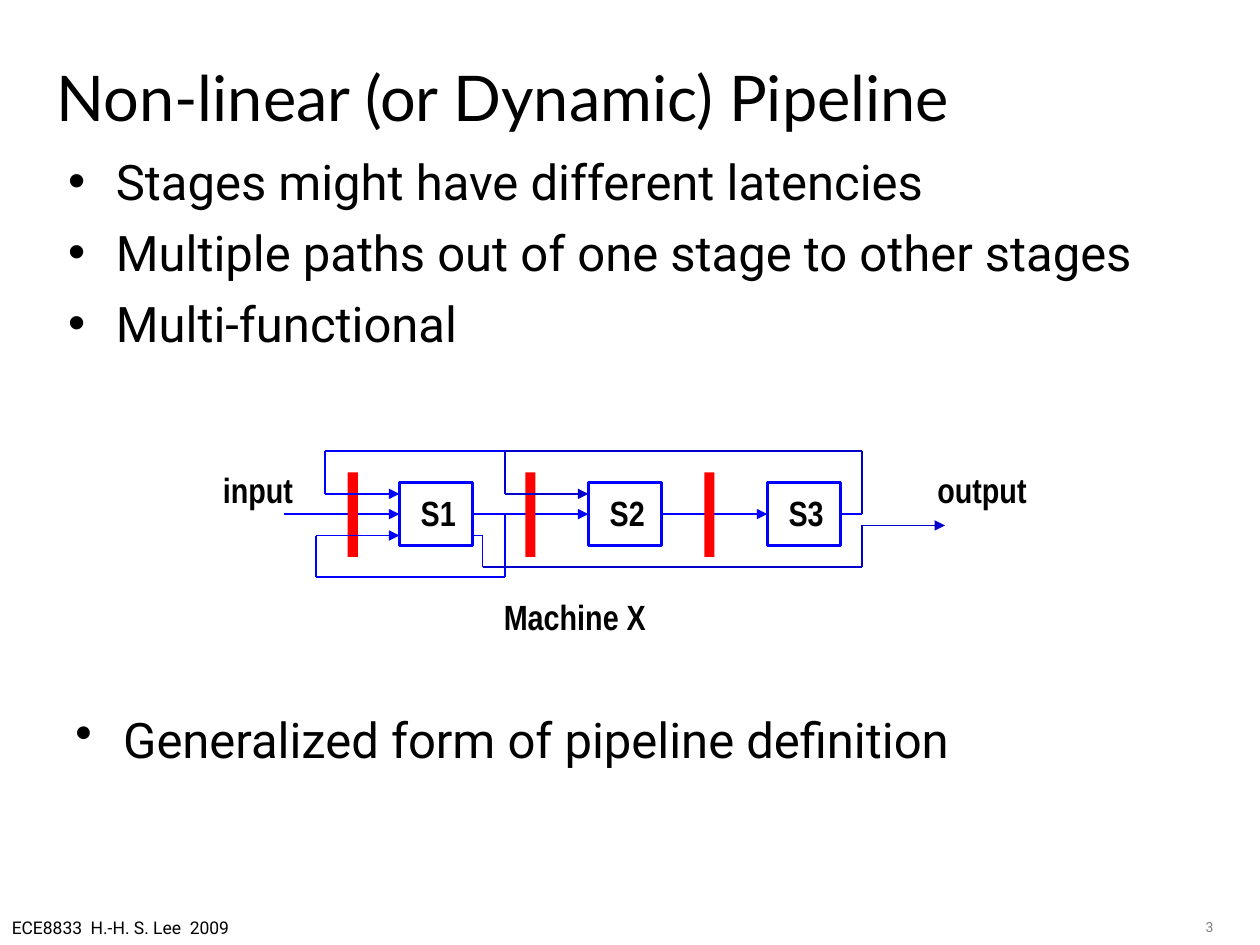
from pptx import Presentation
from pptx.dml.color import RGBColor
from pptx.enum.shapes import MSO_CONNECTOR, MSO_SHAPE
from pptx.enum.text import MSO_ANCHOR, MSO_AUTO_SIZE, PP_ALIGN
from pptx.oxml.ns import qn
from pptx.util import Inches, Pt
from lxml.etree import SubElement

BLUE, NAVY, RED = "0000FF", "0000CC", "FF0000"


def color(code):
    return RGBColor.from_string(code)


def put(shape, box):
    shape.left, shape.top, shape.width, shape.height = map(Inches, box)


def write(shape, *lines, font="Roboto", size=28, ink="000000", bold=False,
          align=PP_ALIGN.LEFT, anchor=MSO_ANCHOR.TOP, wrap=True, bullet=False):
    frame = shape.text_frame
    frame.auto_size = MSO_AUTO_SIZE.NONE
    frame.word_wrap = wrap
    frame.vertical_anchor = anchor
    for i, line in enumerate(lines):
        para = frame.paragraphs[0] if i == 0 else frame.add_paragraph()
        para.alignment = align
        para.space_before = Pt(7 if i else 0)
        if bullet:
            props = para._p.get_or_add_pPr()
            props.set("marL", str(Inches(0.38)))
            props.set("indent", str(-Inches(0.38)))
            SubElement(props, qn("a:buChar")).set("char", "•")
        run = para.add_run()
        run.text = line
        run.font.name, run.font.size, run.font.bold = font, Pt(size), bold
        run.font.color.rgb = color(ink)


def note(shapes, box, *lines, **form):
    write(shapes.add_textbox(*map(Inches, box)), *lines, **form)


def block(shapes, box, fill=None, edge=None):
    rect = shapes.add_shape(MSO_SHAPE.RECTANGLE, *map(Inches, box))
    rect.shadow.inherit = False
    if fill:
        rect.fill.solid()
        rect.fill.fore_color.rgb = color(fill)
    else:
        rect.fill.background()
    if edge:
        rect.line.color.rgb = color(edge)
        rect.line.width = Pt(1.5)
    else:
        rect.line.fill.background()


def wire(shapes, x, y, points, ink=BLUE, arrow=True):
    """Join the points with straight lines, with an arrowhead on the last."""
    for start, end in zip(points, points[1:]):
        ends = (x + start[0], y + start[1], x + end[0], y + end[1])
        line = shapes.add_connector(MSO_CONNECTOR.STRAIGHT, *map(Inches, ends))
        line.line.color.rgb = color(ink)
        line.line.width = Pt(1)
        if arrow and end is points[-1]:
            SubElement(line.line._get_or_add_ln(), qn("a:tailEnd")).set("type", "triangle")
        SubElement(line._element.spPr, qn("a:effectLst"))


def machine(slide, x, y):
    shapes = slide.shapes.add_group_shape().shapes
    form = dict(font="Arial Narrow", size=20, bold=True, wrap=False)
    wide, mid, low, high = 0.58, 0.5, 0.67, 0.34
    stages = (1.5, 3, 4.42)

    # Stages
    for i, left in enumerate(stages, 1):
        block(shapes, (x + left, y + 0.25, wide, 0.5), edge=BLUE)
        note(shapes, (x + left + 0.07, y + 0.27, 0.48, 0.44), f"S{i}", **form)

    # Straight flow, each wire ending at a stage
    starts = (0.58, stages[0] + wide, stages[1] + wide)
    for start, end in zip(starts, stages):
        wire(shapes, x, y, [(start, mid), (end, mid)])

    # Latches
    for left in (1.09, 2.5, 3.92):
        block(shapes, (x + left, y + 0.17, 0.08, 0.67), fill=RED)

    # Feedback and bypass paths
    fork, turn, out = 2.34, 2.16, 5.17
    wire(shapes, x, y, [(fork, mid), (fork, 1), (0.84, 1), (0.84, low), (1.5, low)])
    wire(shapes, x, y, [(out, mid), (out, 0), (fork, 0), (fork, high), (3, high)], NAVY)
    wire(shapes, x, y, [(fork, 0), (0.91, 0), (0.91, high), (1.5, high)])
    wire(shapes, x, y, [(turn, 0.92), (out, 0.92), (out, 0.59), (5.83, 0.59)], NAVY)
    wire(shapes, x, y, [(turn, 0.92), (turn, low), (2.08, low)], arrow=False)
    wire(shapes, x, y, [(5, mid), (out, mid)], arrow=False)

    # Labels
    for text, left, top, width in (("input", 0, 0.09, 0.76),
                                   ("output", 5.67, 0.09, 0.91),
                                   ("Machine X", 2.23, 1.1, 1.33)):
        note(shapes, (x + left, y + top, width, 0.44), text, **form)


def heading(slide, box):
    put(slide.shapes.title, box)
    write(slide.shapes.title, "Non-linear (or Dynamic) Pipeline",
          font="Lato", size=36, anchor=MSO_ANCHOR.MIDDLE)


def points(slide, box):
    body = slide.placeholders[1]
    put(body, box)
    write(body, "Stages might have different latencies",
          "Multiple paths out of one stage to other stages",
          "Multi-functional", bullet=True)


def footer(slide, y):
    note(slide.shapes, (-0.02, y, 1.95, 0.27), "ECE8833  H.-H. S. Lee  2009",
         size=10, align=PP_ALIGN.CENTER, wrap=False)
    note(slide.shapes, (9.07, y + 0.01, 0.66, 0.17), "3",
         size=8, ink="808080", align=PP_ALIGN.RIGHT)


def main():
    deck = Presentation()
    deck.slide_width, deck.slide_height = Inches(10), Inches(7.5)
    slide = deck.slides.add_slide(deck.slide_layouts[1])
    heading(slide, (0.35, 0.35, 9, 0.83))
    points(slide, (0.44, 1.15, 9.13, 2.87))
    machine(slide, 1.67, 3.58)
    note(slide.shapes, (0.5, 5.58, 9.17, 0.83),
         "Generalized form of pipeline definition", bullet=True)
    footer(slide, 7.23)
    deck.save("out.pptx")


if __name__ == "__main__":
    main()
